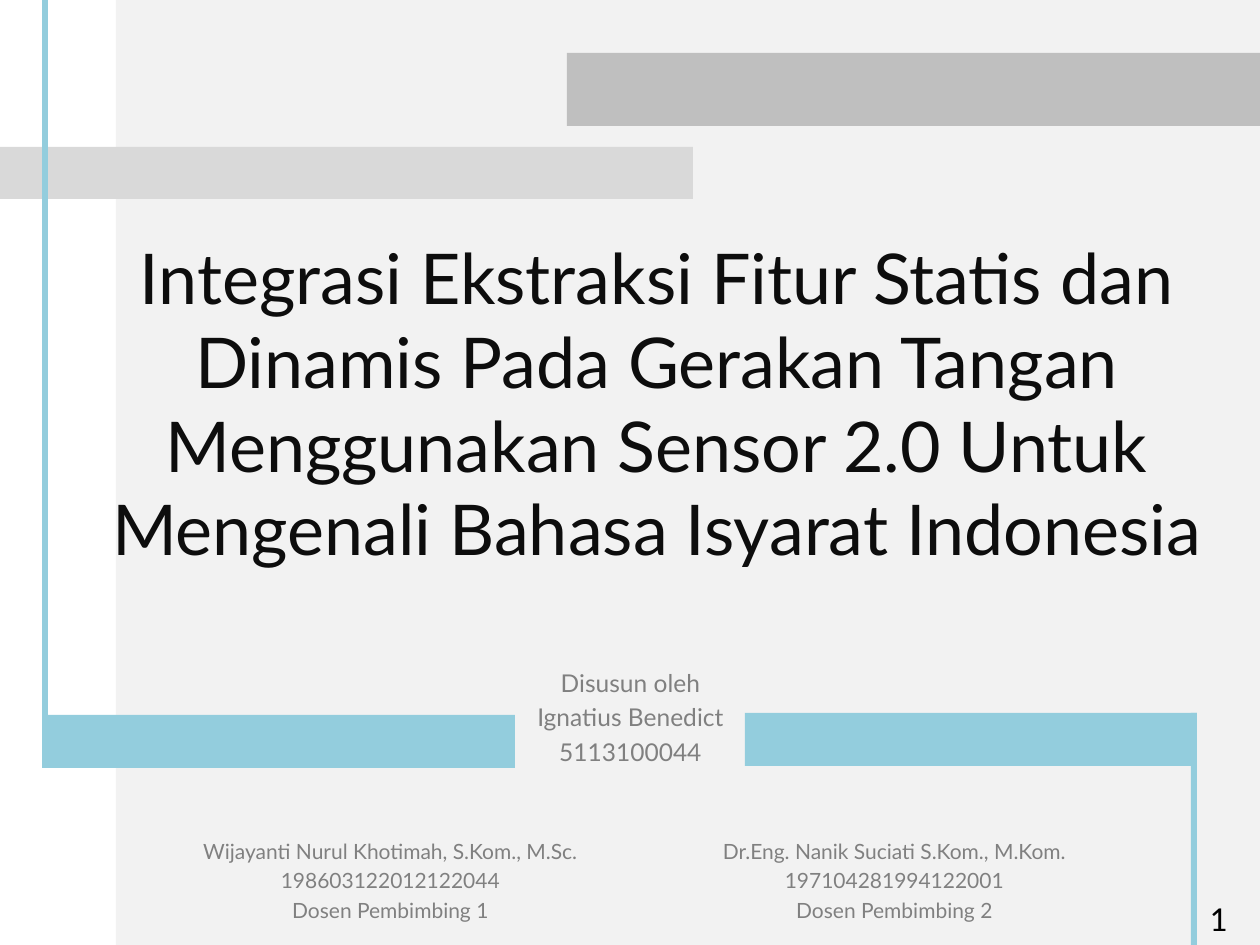
from pptx import Presentation
from pptx.dml.color import RGBColor
from pptx.enum.shapes import MSO_SHAPE
from pptx.enum.text import MSO_ANCHOR, MSO_AUTO_SIZE, PP_ALIGN
from pptx.util import Inches, Pt

PX = Inches(1) / 126
SLIDE_W, SLIDE_H = 1260, 945
PANEL, DARK, LIGHT, ACCENT = "F2F2F2", "BFBFBF", "D9D9D9", "93CDDD"
TITLE_INK, CREDIT_INK, NUMBER_INK = "0D0D0D", "808080", "000000"
BAR, RULE = 53, 6


def px(*lengths):
    return [round(length * PX) for length in lengths]


def color(hex_code):
    return RGBColor.from_string(hex_code)


def add_block(slide, box, fill):
    block = slide.shapes.add_shape(MSO_SHAPE.RECTANGLE, *px(*box))
    block.shadow.inherit = False
    block.fill.solid()
    block.fill.fore_color.rgb = color(fill)
    block.line.fill.background()


def style(paragraph, font_name, size, ink, align=PP_ALIGN.CENTER):
    paragraph.alignment = align
    for run in paragraph.runs:
        run.font.name = font_name
        run.font.size = Pt(size)
        run.font.color.rgb = color(ink)


def add_title(slide, box, wording):
    title = slide.shapes.title
    title.left, title.top, title.width, title.height = px(*box)
    # Bring the placeholder in front of the background panel
    slide.shapes.element.append(title.element)
    frame = title.text_frame
    frame.text = wording
    frame.word_wrap = True
    frame.auto_size = MSO_AUTO_SIZE.NONE
    frame.vertical_anchor = MSO_ANCHOR.MIDDLE
    style(frame.paragraphs[0], "Lato", 40, TITLE_INK)


def add_credit(slide, box, lines, size):
    """Centred lines naming a person, their number and their role."""
    frame = slide.shapes.add_textbox(*px(*box)).text_frame
    frame.word_wrap = True
    frame.text = "\n".join(lines)
    for index, paragraph in enumerate(frame.paragraphs):
        style(paragraph, "Lato", size, CREDIT_INK)
        if index:
            paragraph.space_before = Pt(size * 0.2)


def add_header_bars(slide, box):
    left, top, width, height = box
    dark_w = light_w = width * 55 // 100
    add_block(slide, (left + width - dark_w, top, dark_w, 73), DARK)
    add_block(slide, (left, top + height - 52, light_w, 52), LIGHT)


def add_accent_frame(slide, box, gap_left, gap_right):
    """Rule from the slide top and rule to its bottom, joined by two bars."""
    left, top, width, height = box
    right = left + width
    add_block(slide, (left, top + 2, gap_left - left, BAR), ACCENT)
    add_block(slide, (gap_right, top, right - gap_right, BAR), ACCENT)
    add_block(slide, (left, 0, RULE, top + BAR), ACCENT)
    add_block(slide, (right - RULE, top, RULE, height), ACCENT)


def add_slide_number(slide, box, number):
    frame = slide.shapes.add_textbox(*px(*box)).text_frame
    frame.word_wrap = True
    frame.text = number
    style(frame.paragraphs[0], "Calibri", 20, NUMBER_INK, PP_ALIGN.LEFT)


def build_cover(slide):
    add_block(slide, (116, 0, SLIDE_W - 116, SLIDE_H), PANEL)
    add_title(slide, (63, 218, 1187, 368),
              "Integrasi Ekstraksi Fitur Statis dan Dinamis Pada Gerakan Tangan "
              "Menggunakan Sensor 2.0 Untuk Mengenali Bahasa Isyarat Indonesia")
    add_credit(slide, (479, 662, 303, 103),
               ["Disusun oleh", "Ignatius Benedict", "5113100044"], 14)
    add_header_bars(slide, (0, 53, SLIDE_W, 146))
    add_accent_frame(slide, (42, 713, 1155, SLIDE_H - 713), 515, 745)
    add_slide_number(slide, (1197, 890, 63, 55), "1")

    supervisors = [
        ("Wijayanti Nurul Khotimah, S.Kom., M.Sc.", "198603122012122044"),
        ("Dr.Eng. Nanik Suciati S.Kom., M.Kom.", "197104281994122001"),
    ]
    for index, (name, staff_number) in enumerate(supervisors):
        add_credit(slide, (126 + 504 * index, 832, 529, 82),
                   [name, staff_number, f"Dosen Pembimbing {index + 1}"], 12)


def main():
    deck = Presentation()
    deck.slide_width, deck.slide_height = px(SLIDE_W, SLIDE_H)
    build_cover(deck.slides.add_slide(deck.slide_layouts[5]))
    deck.save("out.pptx")


if __name__ == "__main__":
    main()
